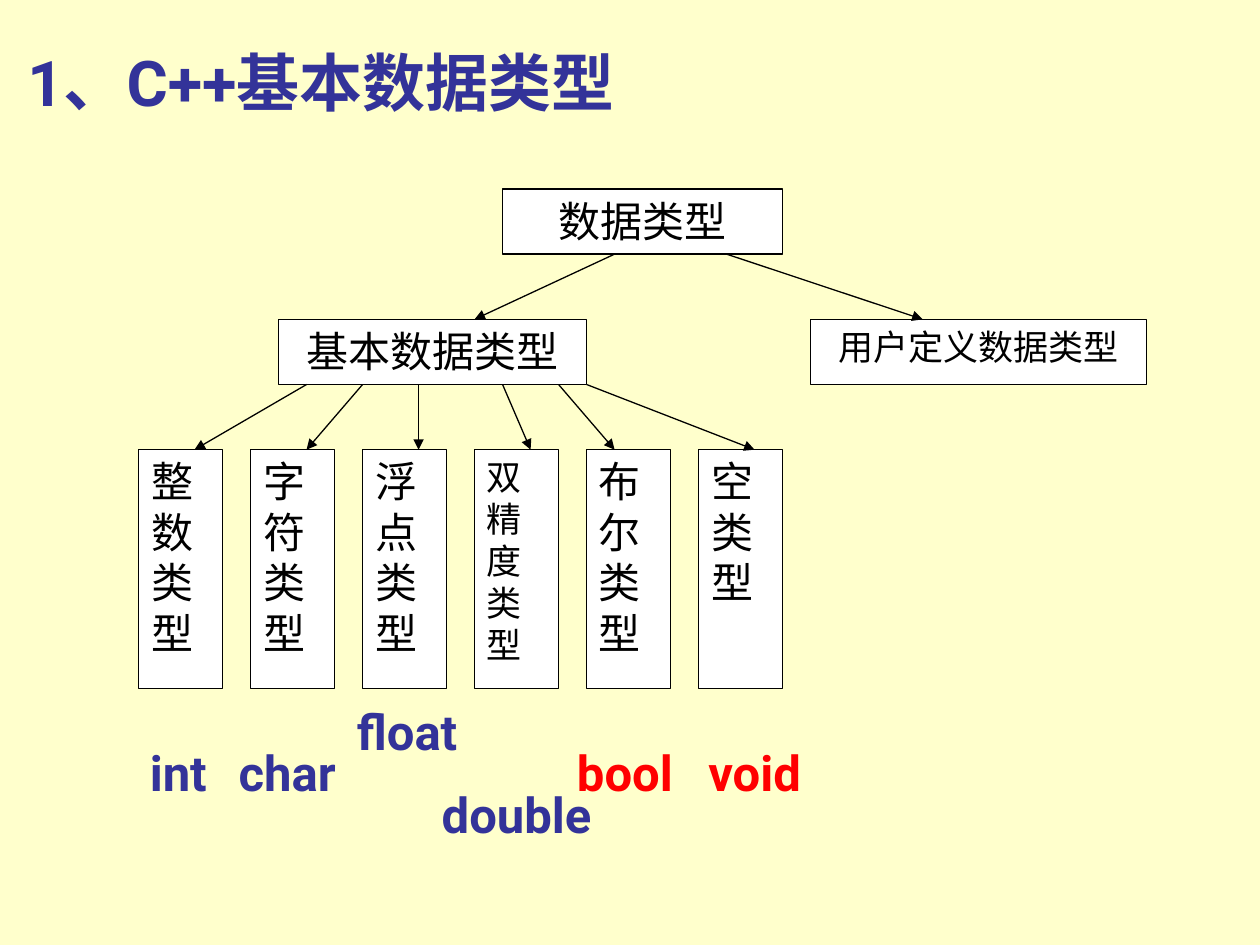
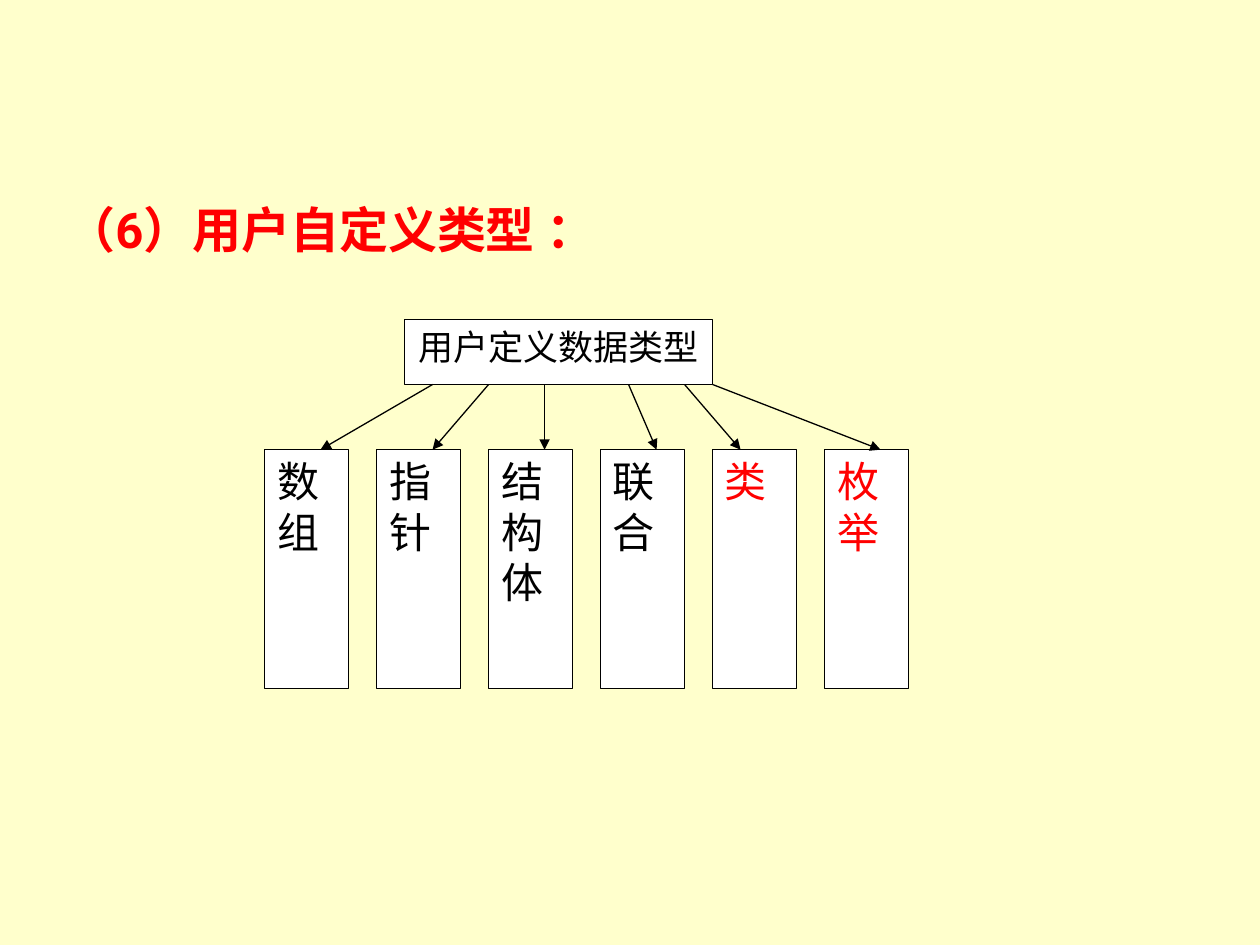
from dataclasses import dataclass

from lxml.etree import SubElement
from pptx import Presentation
from pptx.dml.color import RGBColor
from pptx.enum.shapes import MSO_CONNECTOR as Connector, MSO_SHAPE as Shape
from pptx.enum.text import MSO_ANCHOR as Anchor, PP_ALIGN as Align
from pptx.oxml.ns import qn
from pptx.util import Inches, Pt


@dataclass(frozen=True)
class Theme:
    page: RGBColor = RGBColor.from_string("FFFFCC")
    paper: RGBColor = RGBColor.from_string("FFFFFF")
    ink: RGBColor = RGBColor.from_string("000000")
    heading: RGBColor = RGBColor.from_string("333399")
    accent: RGBColor = RGBColor.from_string("FF0000")
    display_font: str = "Roboto"
    box_font: str = "Times New Roman"
    title_size: int = 36
    word_size: int = 28
    box_size: int = 24
    small_size: int = 20
    line_width: float = 0.75


@dataclass(frozen=True)
class Area:
    left: float
    top: float
    width: float
    height: float


@dataclass(frozen=True)
class Node:
    """A box of the tree, placed in columns and rows of the grid."""
    text: str
    column: float
    row: float
    width: float
    height: float = 1
    size: int = Theme.box_size
    color: RGBColor = Theme.ink
    align: Align = Align.CENTER


@dataclass(frozen=True)
class Leaf:
    text: str
    size: int = Theme.box_size
    color: RGBColor = Theme.ink


@dataclass(frozen=True)
class Keyword:
    text: str
    center: float
    row: float
    width: float
    color: RGBColor = Theme.heading


THEME = Theme()
WIDTH, HEIGHT = Inches(10), Inches(7.5)
COLUMN, ROW = WIDTH / 45, HEIGHT / 14.5
GRID_TOP = HEIGHT * 0.2
MAIN_LEFT, USER_LEFT = WIDTH * 0.11, WIDTH * 0.21

PARENT_COLUMN, PARENT_ROW, PARENT_WIDTH = 5, 2, 11
LEAF_ROW, LEAF_WIDTH, LEAF_STEP, LEAF_HEIGHT = 4, 3, 4, 3.67
# Start and end columns of the arrows between parent and leaves
LEAF_ARROWS = [(6, 2), (8, 6), (10, 10), (13, 14), (15, 17), (16, 22)]
ROOT_ARROWS = [(17, 12), (21, 28)]

BASIC_LEAVES = [
    Leaf("整数类型"), Leaf("字符类型"), Leaf("浮点类型"),
    Leaf("双精度类型", size=THEME.small_size), Leaf("布尔类型"), Leaf("空类型"),
]
USER_LEAVES = [
    Leaf("数组"), Leaf("指针"), Leaf("结构体"), Leaf("联合"),
    Leaf("类", color=THEME.accent), Leaf("枚举", color=THEME.accent),
]
KEYWORDS = [
    Keyword("int", 1.42, 8.33, 4),
    Keyword("char", 5.31, 8.33, 4.6),
    Keyword("float", 9.59, 7.7, 4.6),
    Keyword("double", 13.5, 8.97, 6.75),
    Keyword("bool", 17.37, 8.33, 6.75, THEME.accent),
    Keyword("void", 22, 8.33, 6.75, THEME.accent),
]


def write(shape, text: str, *, size: int, color: RGBColor, font: str,
          bold: bool = False, align: Align = Align.LEFT,
          anchor: Anchor = Anchor.TOP, inset: float = 0.1) -> None:
    frame = shape.text_frame
    frame.word_wrap = True
    frame.vertical_anchor = anchor
    frame.margin_left = frame.margin_right = Inches(inset)
    para = frame.paragraphs[0]
    para.alignment = align
    span = para.add_run()
    span.text = text
    span.font.size, span.font.name, span.font.bold = Pt(size), font, bold
    span.font.color.rgb = color


def add_label(page, text: str, area: Area, *, size: int = THEME.word_size,
              color: RGBColor = THEME.heading, align: Align = Align.LEFT,
              inset: float = 0.1) -> None:
    box = page.shapes.add_textbox(
        int(area.left), int(area.top), int(area.width), int(area.height))
    write(box, text, size=size, color=color, font=THEME.display_font, bold=True,
          align=align, anchor=Anchor.BOTTOM, inset=inset)


def add_node(page, left: float, node: Node) -> None:
    box = page.shapes.add_shape(
        Shape.RECTANGLE,
        int(left + node.column * COLUMN), int(GRID_TOP + node.row * ROW),
        int(node.width * COLUMN), int(node.height * ROW))
    box.shadow.inherit = False
    box.fill.solid()
    box.fill.fore_color.rgb = THEME.paper
    box.line.color.rgb = THEME.ink
    box.line.width = Pt(THEME.line_width)
    write(box, node.text, size=node.size, color=node.color,
          font=THEME.box_font, align=node.align)


def add_arrows(page, left: float, row: float, ends: list[tuple[int, int]]) -> None:
    """Draw arrows one row high from start columns to end columns."""
    for start, end in ends:
        arrow = page.shapes.add_connector(
            Connector.STRAIGHT,
            int(left + start * COLUMN), int(GRID_TOP + row * ROW),
            int(left + end * COLUMN), int(GRID_TOP + (row + 1) * ROW))
        arrow.line.color.rgb = THEME.ink
        arrow.line.width = Pt(THEME.line_width)
        SubElement(arrow.line._get_or_add_ln(), qn("a:tailEnd"), type="triangle")
        SubElement(arrow._element.spPr, qn("a:effectLst"))


def add_branch(page, left: float, title: str, title_size: int,
               leaves: list[Leaf]) -> None:
    """Draw a parent box, its row of leaves and the arrows between them."""
    add_node(page, left, Node(title, PARENT_COLUMN, PARENT_ROW, PARENT_WIDTH,
                              size=title_size))
    for index, leaf in enumerate(leaves):
        add_node(page, left, Node(
            leaf.text, index * LEAF_STEP, LEAF_ROW, LEAF_WIDTH, LEAF_HEIGHT,
            leaf.size, leaf.color, Align.JUSTIFY))
    add_arrows(page, left, PARENT_ROW + 1, LEAF_ARROWS)


def add_page(deck):
    page = deck.slides.add_slide(deck.slide_layouts[6])
    page.background.fill.solid()
    page.background.fill.fore_color.rgb = THEME.page
    return page


def build_basic_types(deck) -> None:
    page = add_page(deck)
    add_label(page, "1、C++基本数据类型",
              Area(WIDTH * 0.012, 0, WIDTH * 0.85, HEIGHT * 0.133),
              size=THEME.title_size)
    add_node(page, MAIN_LEFT, Node("数据类型", 13, 0, 10))
    add_node(page, MAIN_LEFT, Node("用户定义数据类型", 24, PARENT_ROW, 12,
                                   size=THEME.small_size))
    add_arrows(page, MAIN_LEFT, 1, ROOT_ARROWS)
    add_branch(page, MAIN_LEFT, "基本数据类型", THEME.box_size, BASIC_LEAVES)
    for word in KEYWORDS:
        area = Area(MAIN_LEFT + (word.center - word.width / 2) * COLUMN,
                    GRID_TOP + word.row * ROW, word.width * COLUMN, HEIGHT * 0.08)
        add_label(page, word.text, area, color=word.color,
                  align=Align.CENTER, inset=0.02)


def build_user_types(deck) -> None:
    page = add_page(deck)
    add_label(page, "（6）用户自定义类型 ：",
              Area(WIDTH * 0.043, GRID_TOP, WIDTH * 0.92, HEIGHT * 0.08),
              color=THEME.accent)
    add_branch(page, USER_LEFT, "用户定义数据类型", THEME.small_size, USER_LEAVES)


def main() -> None:
    deck = Presentation()
    deck.slide_width, deck.slide_height = WIDTH, HEIGHT
    build_basic_types(deck)
    build_user_types(deck)
    deck.save("out.pptx")


if __name__ == "__main__":
    main()
